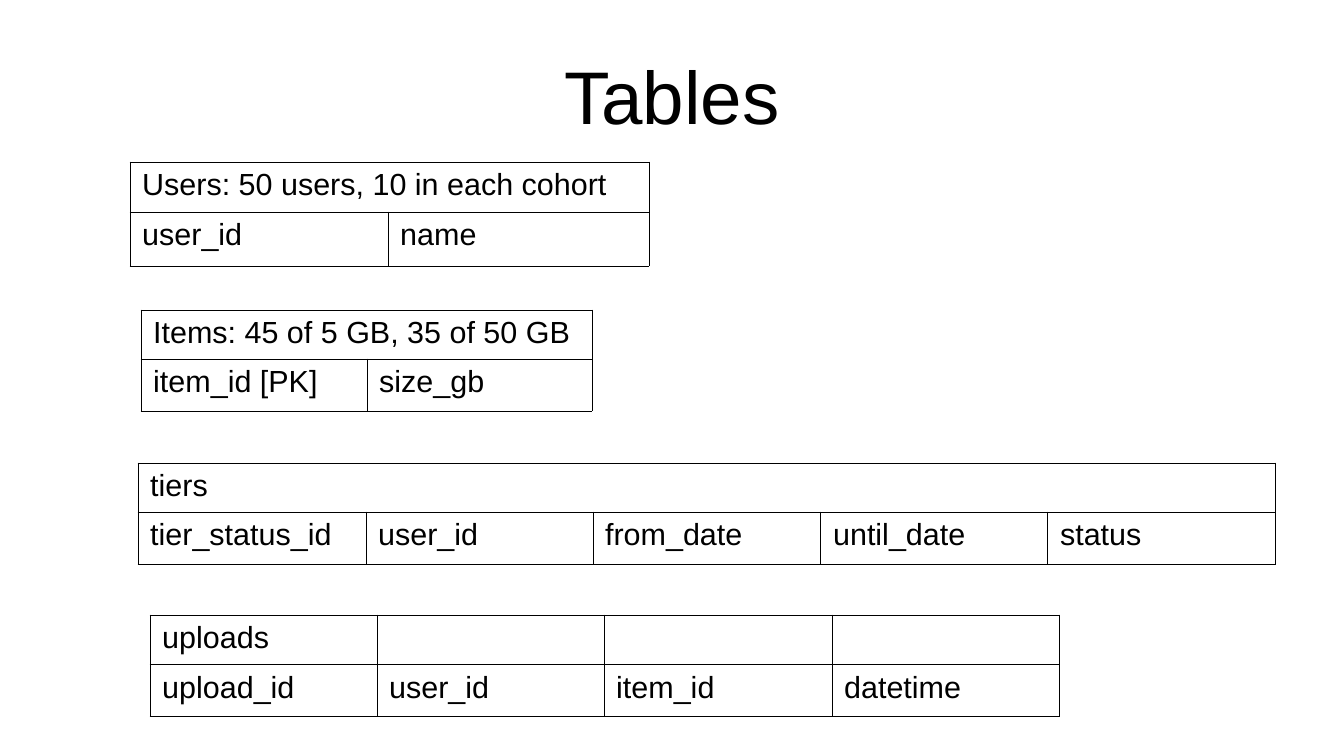
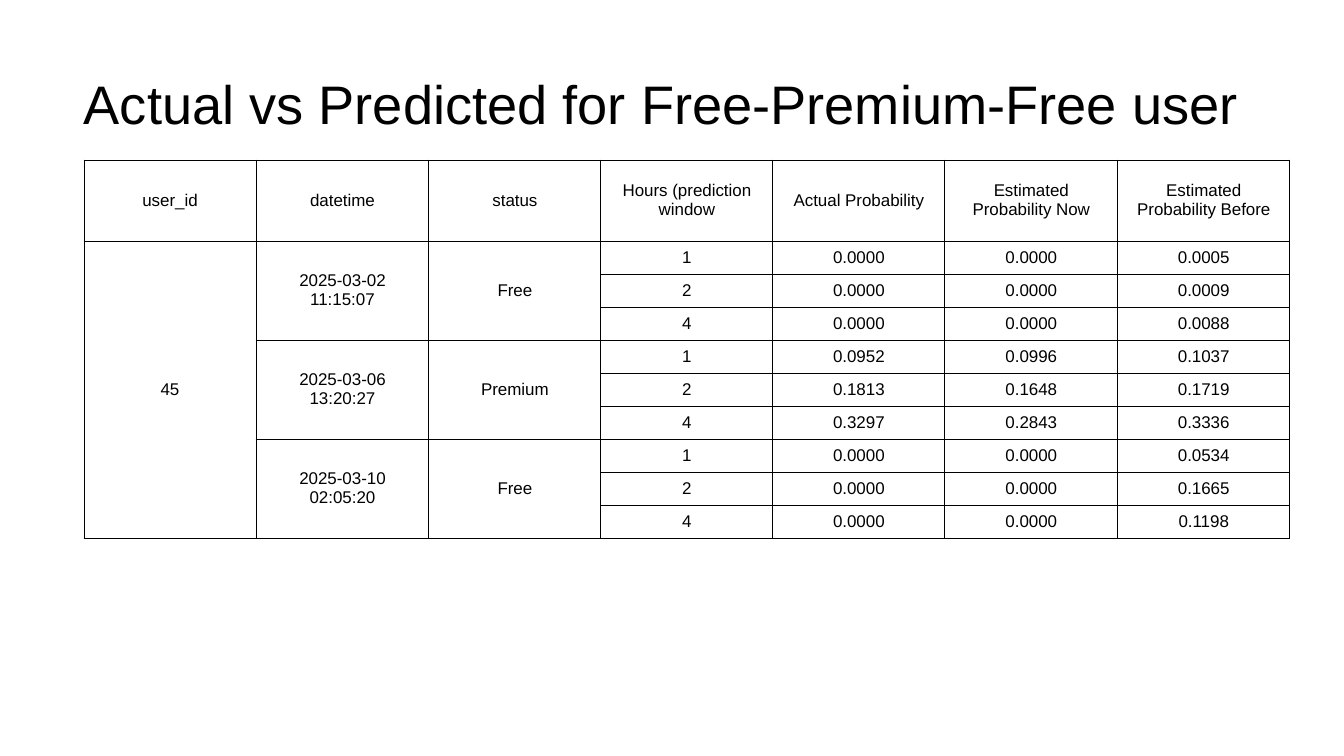
from lxml.etree import SubElement
from pptx import Presentation
from pptx.dml.color import RGBColor
from pptx.enum.text import MSO_AUTO_SIZE, MSO_VERTICAL_ANCHOR as Anchor, PP_PARAGRAPH_ALIGNMENT as Align
from pptx.oxml import parse_xml
from pptx.oxml.ns import nsdecls, qn
from pptx.util import Emu, Pt

PX_PER_INCH = 122
FONT = "Arial"
INK = "000000"
BORDER_WIDTH = 0.57
TITLE_SIZE = 44


def px(length):
    return Emu(round(length * 914400 / PX_PER_INCH))


def color(hex_string):
    return RGBColor.from_string(hex_string)


def even_widths(total, count):
    """Split a width into whole pixels, as equally as possible."""
    edges = [round(total * index / count) for index in range(count + 1)]
    return [right - left for left, right in zip(edges, edges[1:])]


def format_runs(paragraph, size):
    for run in paragraph.runs:
        run.font.name = FONT
        run.font.size = Pt(size)
        run.font.color.rgb = color(INK)


# Shared title position and frame, set once on the layout
def prepare_title_layout(layout):
    title = layout.placeholders[0]
    title.left, title.top, title.width, title.height = map(px, (67, 31, 1210, 127))
    frame = title.text_frame
    frame.margin_left = frame.margin_right = frame.margin_top = frame.margin_bottom = 0
    frame.vertical_anchor = Anchor.MIDDLE
    frame.word_wrap = True
    frame.auto_size = MSO_AUTO_SIZE.NONE


def add_titled_slide(presentation, layout, text, size=TITLE_SIZE):
    slide = presentation.slides.add_slide(layout)
    paragraph = slide.shapes.title.text_frame.paragraphs[0]
    paragraph.text = text
    paragraph.alignment = Align.CENTER
    format_runs(paragraph, size)
    return slide


def set_borders(cell):
    properties = cell._tc.get_or_add_tcPr()
    for position, side in enumerate(("lnL", "lnR", "lnT", "lnB")):
        line = parse_xml(f'<a:{side} {nsdecls("a")} w="{Pt(BORDER_WIDTH)}"/>')
        fill = SubElement(line, qn("a:solidFill"))
        SubElement(fill, qn("a:srgbClr"), val=INK)
        properties.insert(position, line)


def add_grid(slide, left, top, widths, heights, rows, size, merges=(), centered=False):
    """Add a bordered table; each merge is (first row, first column, last row, last column)."""
    frame = slide.shapes.add_table(len(heights), len(widths), px(left), px(top),
                                   px(sum(widths)), px(sum(heights)))
    table = frame.table
    table.first_row = table.horz_banding = False
    for column, width in zip(table.columns, widths):
        column.width = px(width)
    for row, height in zip(table.rows, heights):
        row.height = px(height)

    for row, texts in zip(table.rows, rows):
        for cell, text in zip(row.cells, texts):
            paragraph = cell.text_frame.paragraphs[0]
            if text:
                paragraph.text = text
            if centered:
                paragraph.alignment = Align.CENTER
                cell.vertical_anchor = Anchor.MIDDLE
            format_runs(paragraph, size)
    for cell in table.iter_cells():
        cell.fill.background()
        set_borders(cell)
    for first_row, first_column, last_row, last_column in merges:
        table.cell(first_row, first_column).merge(table.cell(last_row, last_column))


# Database schema: a heading row above a row of field names
def add_schema(slide, left, top, widths, heights, heading, fields, merged=True):
    last = len(fields) - 1
    rows = [[heading] + [""] * last, fields]
    merges = [(0, 0, 0, last)] if merged else []
    add_grid(slide, left, top, widths, heights, rows, 18, merges)


def add_tables_slide(presentation, layout):
    slide = add_titled_slide(presentation, layout, "Tables")
    heights = [49, 52]
    add_schema(slide, 130, 162, [258, 261], [50, 54],
               "Users: 50 users, 10 in each cohort", ["user_id", "name"])
    add_schema(slide, 141, 310, even_widths(451, 2), heights,
               "Items: 45 of 5 GB, 35 of 50 GB", ["item_id [PK]", "size_gb"])
    add_schema(slide, 138, 463, even_widths(1138, 5), heights, "tiers",
               ["tier_status_id", "user_id", "from_date", "until_date", "status"])
    add_schema(slide, 150, 615, even_widths(909, 4), heights, "uploads",
               ["upload_id", "user_id", "item_id", "datetime"], merged=False)


def add_prediction_slide(presentation, layout):
    slide = add_titled_slide(presentation, layout,
                             "Actual vs Predicted for Free-Premium-Free user", 32)
    # The closing space keeps the baseline of the full-size title
    paragraph = slide.shapes.title.text_frame.paragraphs[0]
    space = paragraph.add_run()
    space.text = " "
    space.font.name = FONT
    space.font.size = Pt(TITLE_SIZE)

    hours = ["1", "2", "4"]
    header = ["user_id", "datetime", "status", "Hours (prediction window",
              "Actual Probability", "Estimated Probability Now",
              "Estimated Probability Before"]
    # Per status: datetime, status, then (actual, now, before) for each window
    periods = [
        ("2025-03-02 11:15:07", "Free",
         [("0.0000", "0.0000", "0.0005"),
          ("0.0000", "0.0000", "0.0009"),
          ("0.0000", "0.0000", "0.0088")]),
        ("2025-03-06 13:20:27", "Premium",
         [("0.0952", "0.0996", "0.1037"),
          ("0.1813", "0.1648", "0.1719"),
          ("0.3297", "0.2843", "0.3336")]),
        ("2025-03-10 02:05:20", "Free",
         [("0.0000", "0.0000", "0.0534"),
          ("0.0000", "0.0000", "0.1665"),
          ("0.0000", "0.0000", "0.1198")]),
    ]
    rows = [header]
    merges = []
    for datetime, status, probabilities in periods:
        first = len(rows)
        last = first + len(hours) - 1
        merges += [(first, column, last, column) for column in (1, 2)]
        for index, (window, values) in enumerate(zip(hours, probabilities)):
            labels = ["", datetime, status] if index == 0 else [""] * 3
            rows.append([*labels, window, *values])
    rows[1][0] = "45"
    merges.append((1, 0, len(rows) - 1, 0))
    heights = [81] + [33] * (len(rows) - 1)
    add_grid(slide, 84, 160, even_widths(1206, len(header)), heights, rows, 10,
             merges, centered=True)


def main():
    presentation = Presentation()
    presentation.slide_width = px(1344)
    presentation.slide_height = px(756)
    layout = presentation.slide_layouts.get_by_name("Title Only")
    prepare_title_layout(layout)
    add_tables_slide(presentation, layout)
    add_prediction_slide(presentation, layout)
    presentation.save("out.pptx")


if __name__ == "__main__":
    main()
